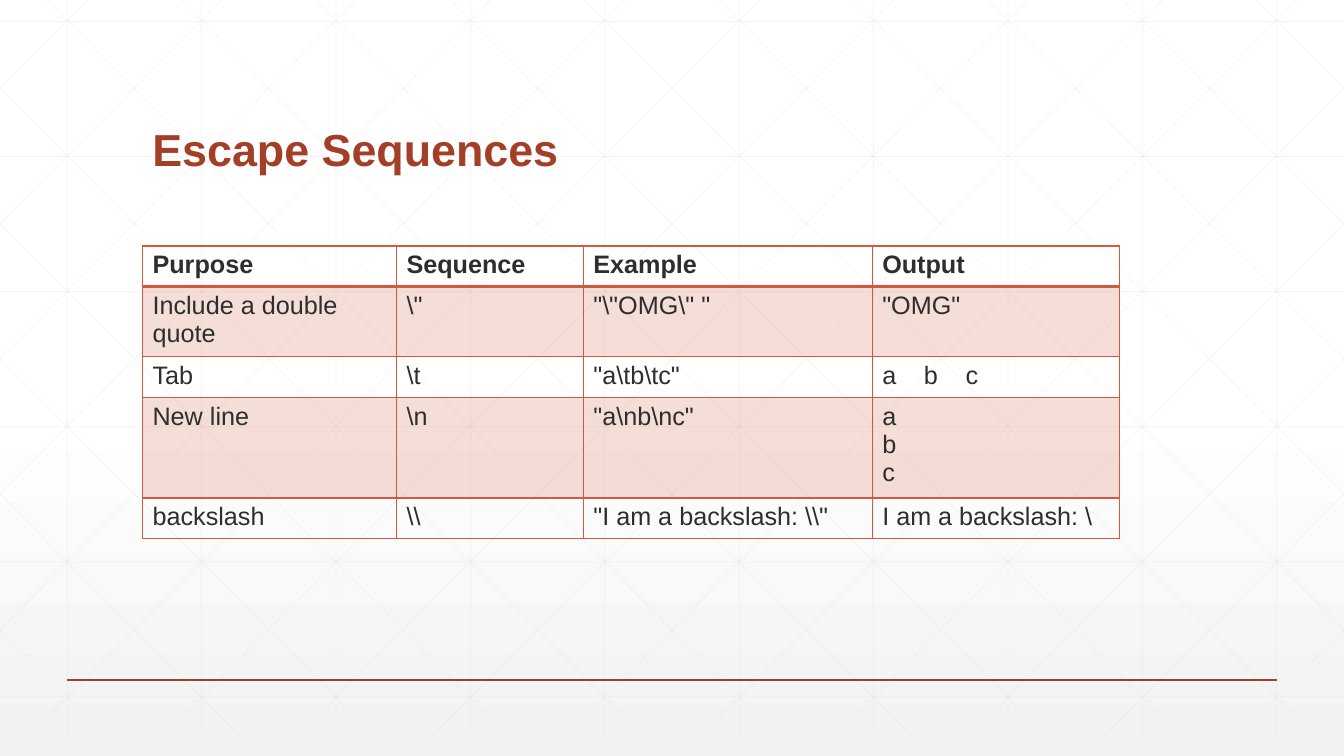
from lxml import etree
from pptx import Presentation
from pptx import util as u
from pptx.dml.color import RGBColor
from pptx.enum import shapes, text
from pptx.oxml import ns

WIDE, HIGH = u.Inches(13.333), u.Inches(7.5)
UNIT = WIDE / 10
TOP, END = -0.16, 5.47
RUST, CORAL, INK, GREY = "A43F27", "D15A3E", "2D2E2D", "D9D9D9"
COLS = [1.89, 1.39, 2.15, 1.84]
ROWS = [0.3, 0.52, 0.3, 0.74, 0.3]
CELLS = [
    ["Purpose", "Sequence", "Example", "Output"],
    ["Include a double quote", r'\"', r'"\"OMG\" "', '"OMG"'],
    ["Tab", r"\t", r'"a\tb\tc"', "a\tb\tc"],
    ["New line", r"\n", r'"a\nb\nc"', "a\nb\nc"],
    ["backslash", r"\\", r'"I am a backslash: \\"', "I am a backslash: \\"],
]


def grid(n):
    return u.Emu(round(n * UNIT))


def tint(code):
    return RGBColor.from_string(code)


def sub(node, tag, **attrs):
    return etree.SubElement(node, ns.qn(tag), attrs)


def fade(node, share):
    for hue in node.iter(ns.qn("a:srgbClr")):
        sub(hue, "a:alpha", val=str(share * 1000))


def rule(slide, x1, y1, x2, y2, code, size, share=100):
    ends = map(grid, (x1, y1, x2, y2))
    line = slide.shapes.add_connector(shapes.MSO_CONNECTOR.STRAIGHT, *ends)
    line.line.color.rgb = tint(code)
    line.line.width = u.Pt(size)
    props = line._element.spPr
    if share < 100:
        fade(props, share)
    sub(props, "a:effectLst")


def slant(start):
    run, rise = 5.59, END - TOP
    left, right = max(start, 0), min(start + run, 10)
    return [(x, TOP + (x - start) * rise / run) for x in (left, right)]


def mesh(slide):
    lines = [(k + 0.5, TOP, k + 0.5, END) for k in range(10)]
    lines += [(0, 0.16 + 1.005 * k, 10, 0.16 + 1.005 * k) for k in range(6)]
    for k in range(-5, 10):
        (x1, y1), (x2, y2) = slant(0.19 + k)
        lines += [(x1, y1, x2, y2), (10 - x1, y1, 10 - x2, y2)]
    for ends in lines:
        rule(slide, *ends, GREY, 0.5, 25)


def write(para, words, size, code, bold):
    for i, part in enumerate(words.split("\n")):
        if i:
            para.add_line_break()
        run = para.add_run()
        run.text = part
        font = run.font
        font.name, font.size, font.bold = "Arial", u.Pt(size), bold
        font.color.rgb = tint(code)


def stops(para, step, count):
    tabs = sub(para._p.get_or_add_pPr(), "a:tabLst")
    for k in range(1, count + 1):
        sub(tabs, "a:tab", pos=str(grid(step * k)), algn="l")


def title(slide, words):
    box = slide.shapes.add_textbox(*map(grid, (1.06, 0.41, 7.88, 0.94)))
    frame = box.text_frame
    frame.word_wrap = True
    frame.vertical_anchor = text.MSO_ANCHOR.BOTTOM
    para = frame.paragraphs[0]
    para.line_spacing = 0.9
    write(para, words, 32, RUST, True)


def edges(cell, top, base):
    props = cell._tc.get_or_add_tcPr()
    for i, (side, size) in enumerate(zip("LRTB", (1, 1, top, base))):
        edge = etree.Element(ns.qn("a:ln" + side), w=str(u.Pt(size)))
        sub(sub(edge, "a:solidFill"), "a:srgbClr", val=CORAL)
        props.insert(i, edge)


def fill(cell, row):
    if row % 2:
        cell.fill.solid()
        cell.fill.fore_color.rgb = tint(CORAL)
        fade(cell._tc.get_or_add_tcPr(), 20)
    else:
        cell.fill.background()


def table(slide):
    area = map(grid, (1.06, 1.83, sum(COLS), sum(ROWS)))
    tab = slide.shapes.add_table(len(ROWS), len(COLS), *area).table
    tab.first_row = tab.horz_banding = False
    for col, wide in zip(tab.columns, COLS):
        col.width = grid(wide)
    for r, (row, high) in enumerate(zip(tab.rows, ROWS)):
        row.height = grid(high)
        for cell, words in zip(row.cells, CELLS[r]):
            para = cell.text_frame.paragraphs[0]
            if "\t" in words:
                stops(para, 0.31, 2)
            write(para, words, 18, INK, r == 0)
            fill(cell, r)
            edges(cell, 2 if r == 1 else 1, 2 if r == 0 else 1)


def shade(slide):
    back = slide.background.fill
    back.gradient()
    back.gradient_angle = 270
    for stop, code, spot in zip(back.gradient_stops, ("FFFFFF", "F2F2F2"), (0.53, 1)):
        stop.color.rgb = tint(code)
        stop.position = spot


def main():
    deck = Presentation()
    deck.slide_width, deck.slide_height = WIDE, HIGH
    slide = deck.slides.add_slide(deck.slide_layouts[6])
    shade(slide)
    mesh(slide)
    rule(slide, 0.5, 5.06, 9.5, 5.06, RUST, 1)
    title(slide, "Escape Sequences")
    table(slide)
    deck.save("out.pptx")


if __name__ == "__main__":
    main()
